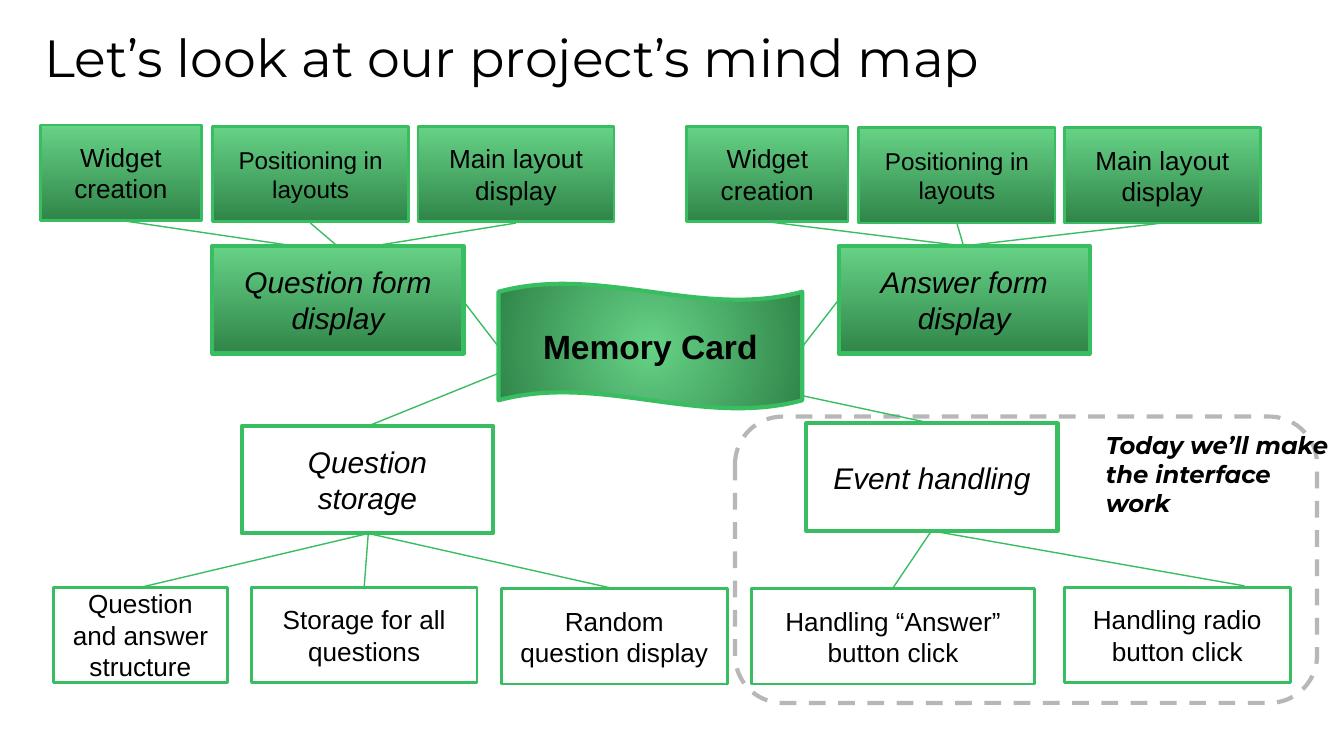
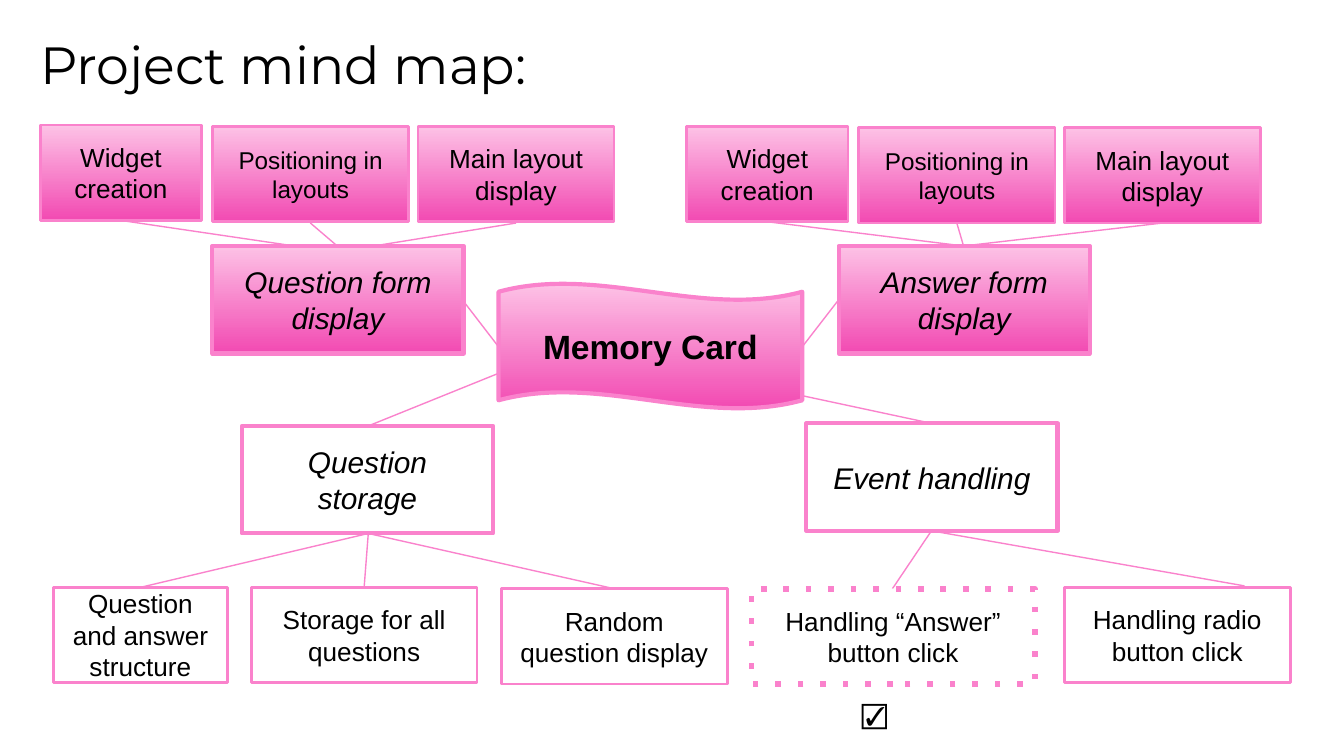
from dataclasses import dataclass

from lxml.etree import SubElement
from pptx import Presentation
from pptx.dml.color import RGBColor
from pptx.enum.dml import MSO_LINE
from pptx.enum.shapes import MSO_CONNECTOR, MSO_SHAPE
from pptx.enum.text import MSO_ANCHOR, MSO_AUTO_SIZE, PP_ALIGN
from pptx.oxml.ns import qn
from pptx.util import Pt


@dataclass(frozen=True)
class Tint:
    """Line and fade colours of one map."""

    line: str
    light: str
    dark: str


@dataclass(frozen=True)
class Theme:
    """Colours, fonts and sizes that the slides share."""

    green: Tint = Tint("38BD60", "66D286", "308549")
    pink: Tint = Tint("FA82CC", "FDC2E6", "F24AB2")
    ink: str = "000000"
    paper: str = "FFFFFF"
    grey: str = "B7B7B7"
    sans: str = "Arial"
    head: str = "Montserrat"
    title: float = 28
    core: float = 18
    branch: float = 16
    leaf: float = 14
    small: float = 13
    bold: float = 2.25
    mid: float = 1.5
    thin: float = 0.75
    dots: float = 3
    pad: float = 7.2


THEME = Theme()
BRANCH = (134.6, 57.6)
LEAF_H = 51.1
TASKS = (
    ("Widget creation", 0, 0, 86.4, THEME.leaf),
    ("Positioning in layouts", 92.2, 0.7, 105.1, THEME.small),
    ("Main layout display", 202.3, 0.7, 105.1, THEME.leaf),
)
GROUPS = ((21.6, 67), (367.9, 67.7))
FORMS = (("Question form display", 113.8, 131.8), ("Answer form display", 449.3, 131.8))
PARTS = (("Question storage", 129.6, 228.2), ("Event handling", 432, 226.8))
ANSWER = "Handling “Answer” button click"
LEAVES = (
    ("Question and answer structure", 28.8, 314.6, 92.9),
    ("Storage for all questions", 134.6, 314.6, 121),
    ("Random question display", 268.6, 315.4, 121),
    (ANSWER, 402.5, 315.4, 151.9),
    ("Handling radio button click", 570.2, 314.6, 121),
)
FANS = (
    ((157.7, 131.8), [(64.8, 118.1)]),
    ((180.7, 131.8), [(166.3, 119.5)]),
    ((195.8, 132.5), [(276.5, 119.5)]),
    ((267.1, 185.8), [(247.7, 160.6)]),
    ((429.8, 185.8), [(449.3, 160.6)]),
    ((268.6, 199.4), [(197.3, 228.2)]),
    ((428.4, 211.7), [(499, 226.8)]),
    ((516.2, 131.8), [(411.1, 118.8), (512.6, 119.5), (622.8, 119.5)]),
    ((197.3, 285.8), [(75.6, 314.6), (195.1, 314.6), (329, 315.4)]),
    ((499, 284.4), [(478.1, 315.4), (666.7, 313.9)]),
)


def rgb(code):
    """Turn a hex code into a colour."""
    return RGBColor.from_string(code)


def write(shape, text, size, font=THEME.sans, pad=THEME.pad, align=PP_ALIGN.LEFT,
          anchor=MSO_ANCHOR.TOP, bold=False, slant=False):
    """Put one styled run into a shape."""
    frame = shape.text_frame
    frame.word_wrap = True
    frame.auto_size = MSO_AUTO_SIZE.NONE
    frame.vertical_anchor = anchor
    frame.margin_left = frame.margin_right = Pt(pad)
    frame.margin_top = frame.margin_bottom = Pt(pad)
    para = frame.paragraphs[0]
    para.alignment = align
    run = para.add_run()
    run.text = text
    run.font.name, run.font.size = font, Pt(size)
    run.font.bold, run.font.italic = bold, slant
    run.font.color.rgb = rgb(THEME.ink)


def shade(shape, tint, round_fade):
    """Fill a shape with a fade, from the top or from the centre."""
    shape.fill.gradient()
    shape.fill.gradient_angle = 270
    for stop, code in zip(shape.fill.gradient_stops, (tint.light, tint.dark)):
        stop.color.rgb = rgb(code)
    if round_fade:
        fade = shape.element.spPr.find(qn("a:gradFill"))
        fade.remove(fade.find(qn("a:lin")))
        ring = SubElement(fade, qn("a:path"), {"path": "circle"})
        sides = {side: "50000" for side in "ltrb"}
        SubElement(ring, qn("a:fillToRect"), sides)


def outline(shape, code, width, dash=None):
    """Set the edge of a shape and drop its shadow."""
    shape.shadow.inherit = False
    shape.line.color.rgb = rgb(code)
    shape.line.width = Pt(width)
    if dash:
        shape.line.dash_style = MSO_LINE.DASH
        shape.element.spPr.find(".//" + qn("a:prstDash")).set("val", dash)


def add_box(slide, place, text, size, tint, width, faded=False, kind=MSO_SHAPE.RECTANGLE,
            dash=None, round_fade=False, **style):
    """Add one node of the map."""
    box = slide.shapes.add_shape(kind, *map(Pt, place))
    if faded:
        shade(box, tint, round_fade)
    else:
        box.fill.solid()
        box.fill.fore_color.rgb = rgb(THEME.paper)
    outline(box, tint.line, width, dash)
    write(box, text, size, align=PP_ALIGN.CENTER, anchor=MSO_ANCHOR.MIDDLE, **style)
    return box


def add_link(slide, start, end, tint):
    """Add one thin line between nodes."""
    link = slide.shapes.add_connector(MSO_CONNECTOR.STRAIGHT, *map(Pt, start + end))
    link.line.color.rgb = rgb(tint.line)
    link.line.width = Pt(THEME.thin)
    SubElement(link.element.spPr, qn("a:effectLst"))


def add_frame(slide, place):
    """Add the dashed frame around the topic of the day."""
    frame = slide.shapes.add_shape(MSO_SHAPE.ROUNDED_RECTANGLE, *map(Pt, place))
    frame.fill.background()
    outline(frame, THEME.grey, THEME.bold, "dash")


def add_note(slide, place, text, size, **style):
    """Add a free text box."""
    write(slide.shapes.add_textbox(*map(Pt, place)), text, size, **style)


def add_title(slide, place, text):
    """Move and fill the title placeholder."""
    title = slide.shapes.title
    title.left, title.top, title.width, title.height = map(Pt, place)
    write(title, text, THEME.title, font=THEME.head, pad=0)


def add_map(slide, tint, dotted=None, round_fade=False):
    """Draw the whole mind map in one tint."""
    for start, ends in FANS:
        for end in ends:
            add_link(slide, start, end, tint)
    for left, top in GROUPS:
        for text, right, down, wide, size in TASKS:
            add_box(slide, (left + right, top + down, wide, LEAF_H), text, size,
                    tint, THEME.mid, faded=True)
    for row, faded in ((FORMS, True), (PARTS, False)):
        for text, left, top in row:
            add_box(slide, (left, top, *BRANCH), text, THEME.branch, tint,
                    THEME.bold, faded=faded, slant=True)
    for text, left, top, wide in LEAVES:
        width, dash = (THEME.dots, "dot") if text == dotted else (THEME.mid, None)
        add_box(slide, (left, top, wide, LEAF_H), text, THEME.leaf, tint, width, dash=dash)
    core = add_box(slide, (267.1, 151.9, 162.7, 67), "Memory Card", THEME.core, tint,
                   THEME.bold, faded=True, kind=MSO_SHAPE.WAVE,
                   round_fade=round_fade, bold=True)
    core.adjustments[0] = 0.066
    core.adjustments[1] = 0


def main():
    """Build both slides and save them."""
    deck = Presentation()
    deck.slide_width, deck.slide_height = Pt(720), Pt(405)
    layout = deck.slide_layouts[5]

    first = deck.slides.add_slide(layout)
    add_title(first, (23.8, 13.7, 569.5, 40.3), "Let’s look at our project’s mind map")
    add_frame(first, (393.8, 223.2, 311.8, 153.4))
    add_map(first, THEME.green, round_fade=True)
    add_note(first, (585.4, 223.2, 134.6, 67), "Today we’ll make the interface work",
             THEME.small, font=THEME.head, bold=True, slant=True)

    second = deck.slides.add_slide(layout)
    add_title(second, (21.6, 17.3, 564.5, 51.1), "Project mind map:")
    add_map(second, THEME.pink, dotted=ANSWER)
    add_note(second, (454.3, 367.2, 46.8, 31), "☑️", THEME.leaf)

    deck.save("out.pptx")


if __name__ == "__main__":
    main()
